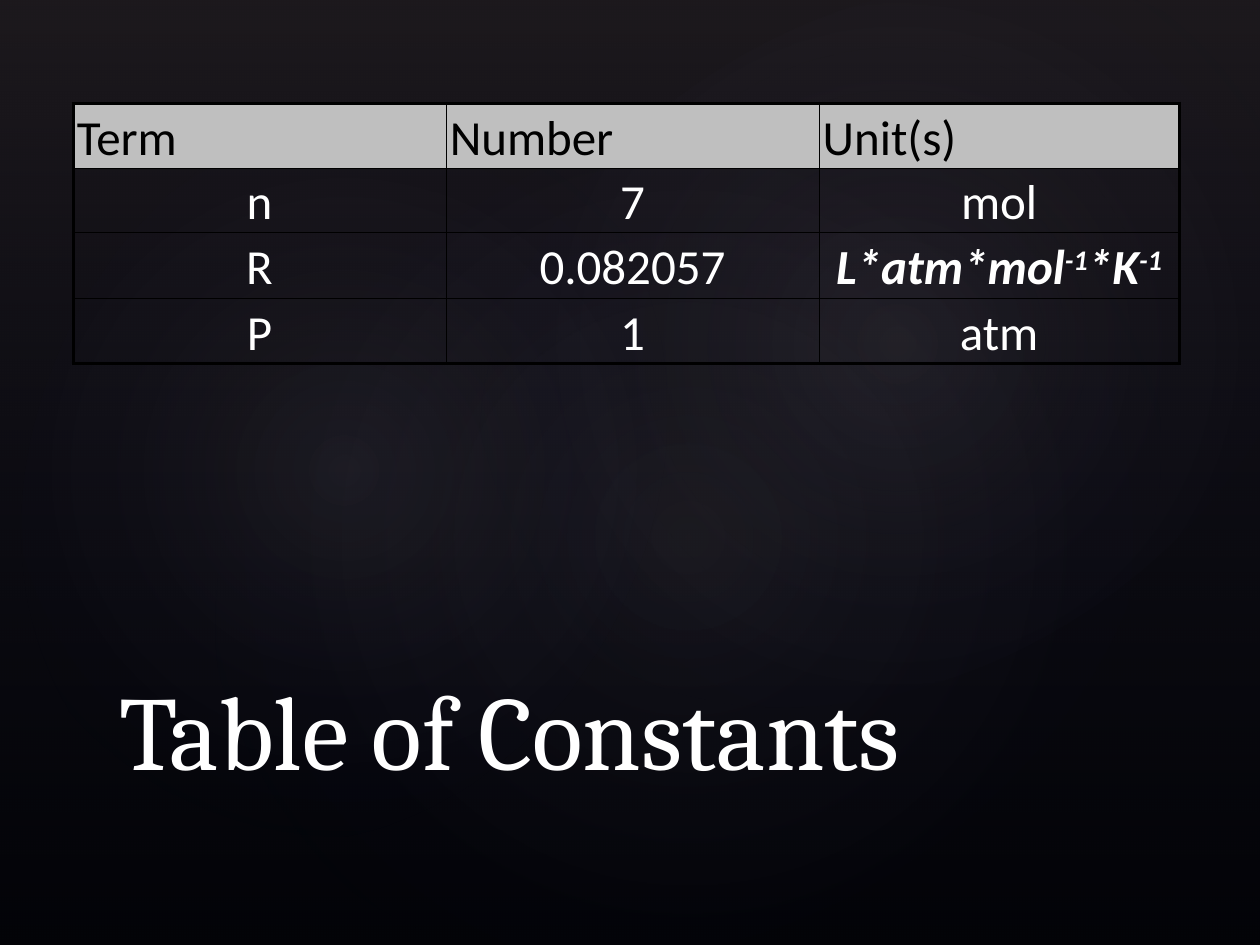
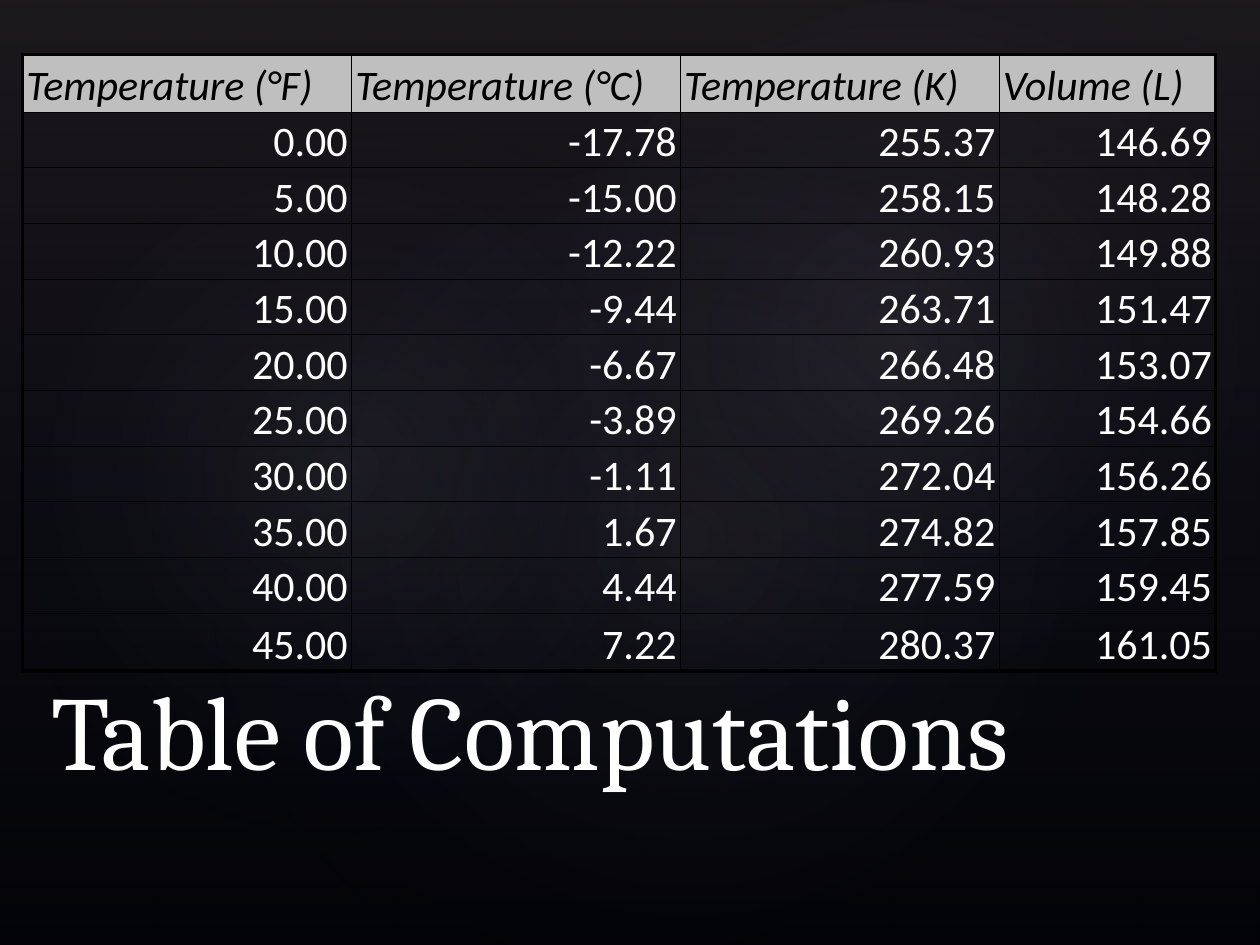
from dataclasses import dataclass

from lxml.etree import SubElement
from pptx import Presentation
from pptx.dml.color import RGBColor as Rgb
from pptx.enum.shapes import MSO_SHAPE as Kind
from pptx.enum.text import MSO_ANCHOR as Anchor, PP_ALIGN as Align
from pptx.oxml import parse_xml
from pptx.oxml.ns import nsdecls, qn
from pptx.util import Inches, Pt

COLS, ROWS = 100, 75  # grid over the slide
UNIT = Inches(0.1)

HEX = {
    "back": "000000", "rule": "000000", "ink": "000000", "text": "FFFFFF",
    "head": "BFBFBF", "veil": "504652", "navy": "242852", "glow": "C4BCC6",
}
TITLE = {"name": "Cambria", "size": Pt(60)}
CELL = {
    "margin_left": Inches(0.03), "margin_right": Inches(0.03),
    "margin_top": Inches(0.03), "margin_bottom": 0,
    "vertical_anchor": Anchor.BOTTOM,
}
PLAIN = {"first_row": False, "horz_banding": False}
NO_STYLE = "{2D5ABB26-0587-4C30-8999-92F81FD0307C}"
THIN, THICK = Pt(0.5), Pt(2)


@dataclass(frozen=True)
class Box:
    left: float
    top: float
    width: float
    height: float

    def emu(self) -> tuple[int, ...]:
        return tuple(grid(n) for n in (self.left, self.top, self.width, self.height))


@dataclass(frozen=True)
class Glow:
    box: Box
    turn: float
    alpha: int


@dataclass(frozen=True)
class Grid:
    left: float
    top: float
    cols: list[float]
    tall: list[float]
    size: int
    align: Align
    slant: bool
    cells: list[list[str]]


@dataclass(frozen=True)
class Page:
    title: str
    box: Box
    table: Grid


GLOWS = [
    Glow(Box(15, 11.4, 79.2, 62.4), 328.7, 7),
    Glow(Box(-3, 12.8, 60.6, 49), 294.3, 8),
    Glow(Box(35.8, 1.3, 70.9, 52), 328.7, 8),
]

MOLES, GAS, ATM = 7, 0.082057, 1  # GAS has six decimals by definition


def grid(n: float) -> int:
    return round(n * UNIT)


def apply(item, values: dict) -> None:
    for name, value in values.items():
        setattr(item, name, value)


def shade(shape, stops: list[tuple[int, str, int]], aim: str) -> None:
    """Fill with a gradient of (position, colour, opacity) stops, in percent."""
    marks = "".join(
        f'<a:gs pos="{at * 1000}"><a:srgbClr val="{HEX[hue]}">'
        f'<a:alpha val="{alpha * 1000}"/></a:srgbClr></a:gs>'
        for at, hue, alpha in stops
    )
    fill = parse_xml(
        f'<a:gradFill {nsdecls("a")} rotWithShape="1">'
        f"<a:gsLst>{marks}</a:gsLst>{aim}</a:gradFill>"
    )
    shape.fill.background()
    props = shape.fill._xPr
    props.replace(props.find(qn("a:noFill")), fill)


def add_form(slide, kind: Kind, box: Box):
    shape = slide.shapes.add_shape(kind, *box.emu())
    shape.shadow.inherit = False
    shape.line.fill.background()
    return shape


def add_back(slide) -> None:
    fill = slide.background.fill
    fill.solid()
    fill.fore_color.rgb = Rgb.from_string(HEX["back"])
    veil = add_form(slide, Kind.RECTANGLE, Box(0, 0, COLS, ROWS))
    shade(veil, [(0, "veil", 36), (100, "navy", 10)],
          '<a:lin ang="5400000" scaled="0"/>')
    for glow in GLOWS:
        oval = add_form(slide, Kind.OVAL, glow.box)
        oval.rotation = glow.turn
        shade(oval, [(0, "glow", glow.alpha), (58, "navy", 0)],
              '<a:path path="circle"><a:fillToRect l="50000" t="50000" '
              'r="50000" b="50000"/></a:path>')


def add_run(para, text: str, hue: str, values: dict):
    run = para.add_run()
    run.text = text
    apply(run.font, values)
    run.font.color.rgb = Rgb.from_string(HEX[hue])
    return run


def add_title(slide, text: str, box: Box) -> None:
    frame = slide.shapes.add_textbox(*box.emu()).text_frame
    apply(frame, {"word_wrap": True, "vertical_anchor": Anchor.BOTTOM})
    add_run(frame.paragraphs[0], text, "text", TITLE)


def rule(cell, edges: dict[str, bool]) -> None:
    """Draw the cell's borders, thick where it meets the table's edge."""
    props = cell._tc.get_or_add_tcPr()
    for side, outer in edges.items():
        line = SubElement(props, qn(f"a:ln{side}"), w=str(THICK if outer else THIN))
        paint = SubElement(line, qn("a:solidFill"))
        SubElement(paint, qn("a:srgbClr"), val=HEX["rule"])


def fill_cell(cell, text: str, head: bool, spec: Grid) -> None:
    """Write the text; parts between carets are raised."""
    apply(cell, CELL)
    if head:
        cell.fill.solid()
        cell.fill.fore_color.rgb = Rgb.from_string(HEX["head"])
    else:
        cell.fill.background()
    para = cell.text_frame.paragraphs[0]
    para.alignment = Align.LEFT if head else spec.align
    power = "^" in text
    font = {"name": "Calibri", "size": Pt(spec.size), "bold": power,
            "italic": power or (head and spec.slant)}
    for i, part in enumerate(text.split("^")):
        if part:
            run = add_run(para, part, "ink" if head else "text", font)
            if i % 2:
                run.font._element.set("baseline", "30000")


def add_grid(slide, spec: Grid) -> None:
    rows, cols = len(spec.tall), len(spec.cols)
    box = Box(spec.left, spec.top, sum(spec.cols), sum(spec.tall))
    table = slide.shapes.add_table(rows, cols, *box.emu()).table
    apply(table, PLAIN)
    table._tbl.tblPr.find(qn("a:tableStyleId")).text = NO_STYLE
    for col, width in zip(table.columns, spec.cols):
        col.width = grid(width)
    for row, height in zip(table.rows, spec.tall):
        row.height = grid(height)
    for r, line in enumerate(spec.cells):
        for c, text in enumerate(line):
            cell = table.cell(r, c)
            rule(cell, {"L": c == 0, "R": c == cols - 1,
                        "T": r == 0, "B": r == rows - 1})
            fill_cell(cell, text, r == 0, spec)


def gas_row(fahr: int) -> list[str]:
    """Convert the temperature and find the volume by the ideal gas law."""
    cels = (fahr - 32) * 5 / 9
    kelv = cels + 273.15
    return [f"{n:.2f}" for n in (fahr, cels, kelv, MOLES * GAS * kelv / ATM)]


PAGES = [
    Page("Table of Constants", Box(8.5, 53.3, 82.5, 10), Grid(
        5.8, 8.2, [29.6, 29.6, 28.6], [5.2, 5, 5.2, 5.2], 28, Align.CENTER, False,
        [["Term", "Number", "Unit(s)"],
         ["n", str(MOLES), "mol"],
         ["R", str(GAS), "L*atm*mol^-1^*K^-1^"],
         ["P", str(ATM), "atm"]])),
    Page("Table of Computations", Box(3.1, 53.3, 100, 10), Grid(
        1.8, 4.3, [26.1, 26.1, 25.3, 17.2], [4.6] + [4.42] * 9 + [4.6],
        24, Align.RIGHT, True,
        [["Temperature (°F)", "Temperature (°C)", "Temperature (K)", "Volume (L)"],
         *(gas_row(fahr) for fahr in range(0, 50, 5))])),
]


def main() -> None:
    deck = Presentation()
    apply(deck, {"slide_width": COLS * UNIT, "slide_height": ROWS * UNIT})
    for page in PAGES:
        slide = deck.slides.add_slide(deck.slide_layouts[6])
        add_back(slide)
        add_grid(slide, page.table)
        add_title(slide, page.title, page.box)
    deck.save("out.pptx")


if __name__ == "__main__":
    main()
